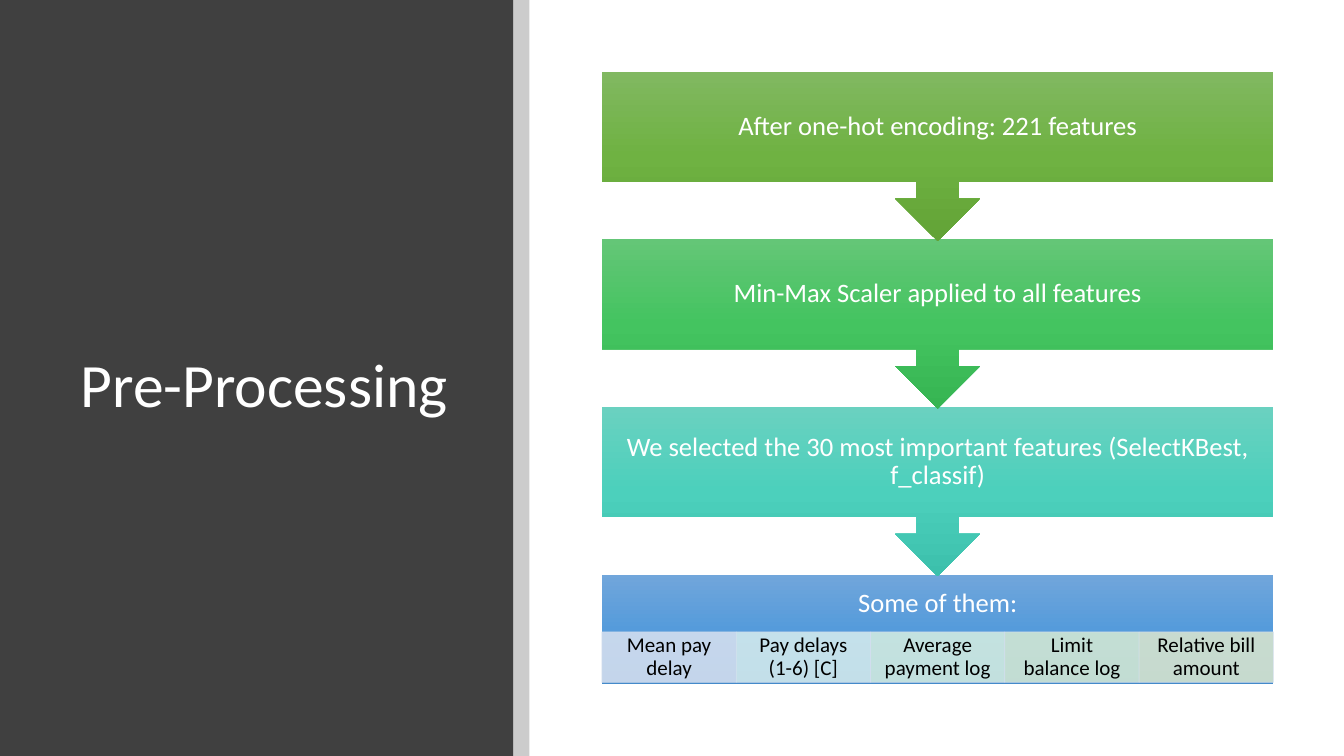
from copy import deepcopy
from typing import NamedTuple

from lxml.etree import SubElement
from pptx import Presentation
from pptx.dml.color import RGBColor
from pptx.enum.shapes import MSO_SHAPE as Preset
from pptx.enum.text import MSO_ANCHOR as Anchor, PP_ALIGN as Align
from pptx.oxml.ns import qn
from pptx.shapes.autoshape import Shape
from pptx.slide import Slide
from pptx.util import Inches, Pt


class Step(NamedTuple):
    text: str
    gradient: tuple[str, str, str]


class Feature(NamedTuple):
    text: str
    fill: str


STEPS = [
    Step("After one-hot encoding: 221 features", ("81B861", "6FB242", "62A336")),
    Step("Min-Max Scaler applied to all features", ("64C677", "44C460", "36B552")),
    Step("We selected the 30 most important features (SelectKBest, f_classif)",
         ("6AD1C0", "4CD0BC", "3CC0AC")),
    Step("Some of them:", ("71A6DB", "559BDB", "448ACA")),
]
FEATURES = [
    Feature("Mean pay delay", "D2DEEF"),
    Feature("Pay delays (1-6) [C]", "D1E9ED"),
    Feature("Average payment log", "D0EAE1"),
    Feature("Limit balance log", "D0E6D4"),
    Feature("Relative bill amount", "D5E3CF"),
]
FLOW_LEFT, FLOW_WIDTH = 5.97, 6.66
FIRST_TOP, LAST_TOP = 0.71, 5.7
STEP_PITCH = (LAST_TOP - FIRST_TOP) / (len(STEPS) - 1)
CALLOUT_HEIGHT, LAST_HEIGHT = 1.68, 1.09
FEATURE_TOP, FEATURE_HEIGHT = 6.27, 0.5
FEATURE_WIDTH = FLOW_WIDTH / len(FEATURES)


def color(value: str) -> RGBColor:
    return RGBColor.from_string(value)


def add_box(slide: Slide, preset: Preset, left: float, top: float,
            width: float, height: float) -> Shape:
    box = slide.shapes.add_shape(
        preset, Inches(left), Inches(top), Inches(width), Inches(height))
    box.shadow.inherit = False
    box.line.fill.background()
    return box


def fill_solid(box: Shape, fill: str) -> None:
    box.fill.solid()
    box.fill.fore_color.rgb = color(fill)


def fill_gradient(box: Shape, colors: tuple[str, str, str]) -> None:
    """Fill from top to bottom with three evenly spaced colours."""
    box.fill.gradient()
    box.fill.gradient_angle = 270
    stop_list = box._element.spPr.find(f".//{qn('a:gsLst')}")
    stop_list.append(deepcopy(stop_list[-1]))
    for index, (stop, value) in enumerate(zip(box.fill.gradient_stops, colors)):
        stop.position = index / 2
        stop.color.rgb = color(value)


def set_opacity(box: Shape, percent: int) -> None:
    """Apply one opacity to the fill and the outline."""
    for node in box._element.spPr.iter(qn("a:srgbClr")):
        SubElement(node, qn("a:alpha")).set("val", str(percent * 1000))


def write(box: Shape, text: str, *, size: float, ink: str = "FFFFFF",
          align: Align = Align.CENTER,
          insets: tuple[float, float, float, float] = (0.15, 0.15, 0.15, 0.15)) -> None:
    """Write one paragraph; insets run left, top, right, bottom."""
    frame = box.text_frame
    frame.word_wrap = True
    frame.vertical_anchor = Anchor.MIDDLE
    (frame.margin_left, frame.margin_top,
     frame.margin_right, frame.margin_bottom) = map(Inches, insets)
    para = frame.paragraphs[0]
    para.alignment = align
    para.line_spacing = 0.9
    span = para.add_run()
    span.text = text
    span.font.name = "Calibri"
    span.font.size = Pt(size)
    span.font.color.rgb = color(ink)


def add_title_panel(slide: Slide) -> None:
    panel = add_box(slide, Preset.RECTANGLE, 0, 0, 5.09, 7.5)
    fill_solid(panel, "404040")
    divider = add_box(slide, Preset.RECTANGLE, 5.09, 0, 0.16, 7.5)
    fill_solid(divider, "000000")
    set_opacity(divider, 20)

    title = slide.shapes.title
    title.left, title.top = Inches(0.7), Inches(0.89)
    title.width, title.height = Inches(3.86), Inches(5.91)
    write(title, "Pre-Processing", size=44, align=Align.LEFT,
          insets=(0.1, 0.05, 0.1, 0.05))
    divider._element.addnext(title._element)


def add_last_step(slide: Slide, step: Step) -> None:
    box = add_box(slide, Preset.RECTANGLE, FLOW_LEFT, LAST_TOP, FLOW_WIDTH, LAST_HEIGHT)
    fill_gradient(box, step.gradient)
    write(box, step.text, size=19, insets=(0.15, 0.1, 0.15, 0.6))
    for index, feature in enumerate(FEATURES):
        cell = add_box(slide, Preset.RECTANGLE, FLOW_LEFT + index * FEATURE_WIDTH,
                       FEATURE_TOP, FEATURE_WIDTH, FEATURE_HEIGHT)
        fill_solid(cell, feature.fill)
        cell.line.color.rgb = color("D2DEEF")
        cell.line.width = Pt(0.5)
        set_opacity(cell, 90)
        write(cell, feature.text, size=15, ink="000000",
              insets=(0.12, 0.02, 0.12, 0.02))


def add_callout_step(slide: Slide, step: Step, top: float) -> None:
    box = add_box(slide, Preset.DOWN_ARROW_CALLOUT, FLOW_LEFT, top,
                  FLOW_WIDTH, CALLOUT_HEIGHT)
    fill_gradient(box, step.gradient)
    write(box, step.text, size=19)


def main() -> None:
    deck = Presentation()
    deck.slide_width, deck.slide_height = Inches(13.33), Inches(7.5)
    slide = deck.slides.add_slide(deck.slide_layouts.get_by_name("Title Only"))
    add_title_panel(slide)
    *callouts, last = STEPS
    add_last_step(slide, last)
    # Each arrow tip lies over the step below it, so draw upwards.
    for index, step in reversed(list(enumerate(callouts))):
        add_callout_step(slide, step, FIRST_TOP + index * STEP_PITCH)
    deck.save("out.pptx")


if __name__ == "__main__":
    main()
